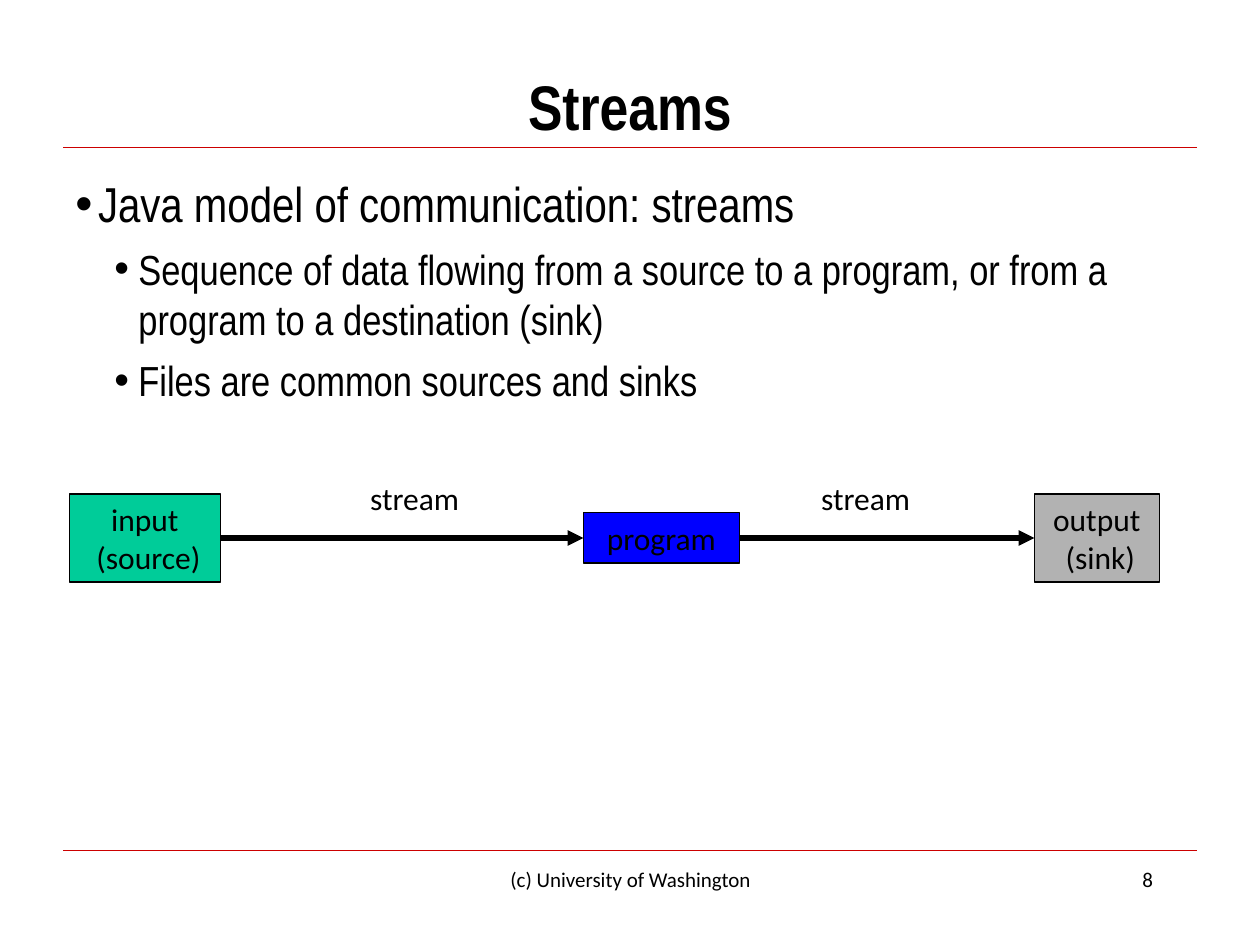
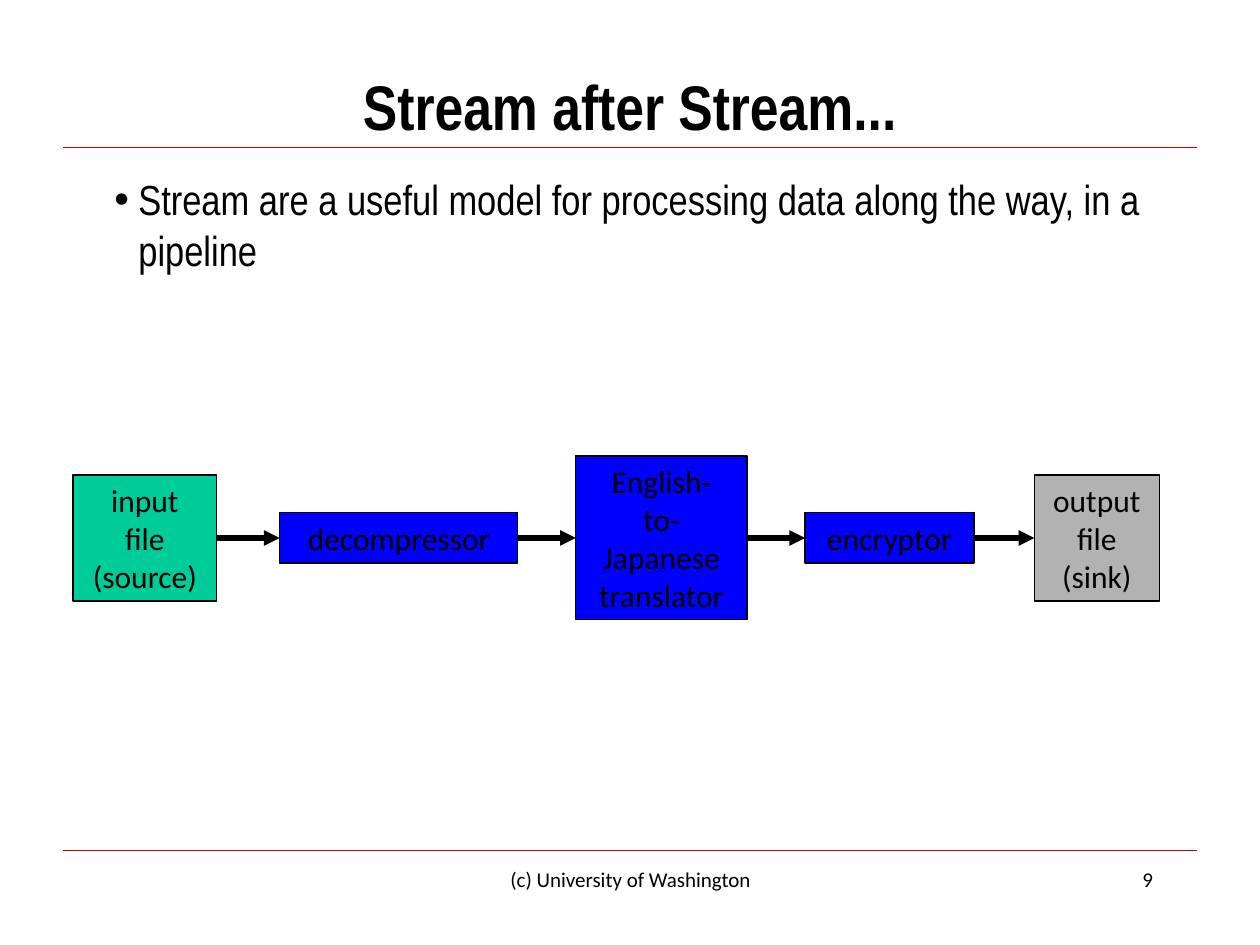
from lxml import etree
from pptx import Presentation
from pptx.dml.color import RGBColor
from pptx.enum.shapes import MSO_CONNECTOR, MSO_SHAPE
from pptx.enum.text import MSO_ANCHOR, PP_ALIGN
from pptx.oxml.ns import qn
from pptx.util import Inches, Pt

STRAIGHT = MSO_CONNECTOR.STRAIGHT
RECT = MSO_SHAPE.RECTANGLE
TOP, MIDDLE = MSO_ANCHOR.TOP, MSO_ANCHOR.MIDDLE
LEFT, CENTER, RIGHT = PP_ALIGN.LEFT, PP_ALIGN.CENTER, PP_ALIGN.RIGHT

COLORS = {"rule": "CC0000", "ink": "000000", "source": "00CC99", "program": "0000FF", "sink": "B2B2B2"}
TITLE = {"name": "Arial Narrow", "size": Pt(36), "bold": True}
LABEL = {"name": "Calibri", "size": Pt(18)}
FOOTER = {"name": "Calibri", "size": Pt(12)}
BULLETS = [
    {"font": {"name": "Arial Narrow", "size": Pt(28)}, "left": 0.18, "hang": 0.18, "before": 7},
    {"font": {"name": "Arial Narrow", "size": Pt(24)}, "left": 0.5, "hang": 0.19, "before": 6},
]
AXIS_Y = 4.27

SLIDES = [
    {
        "title": "Streams",
        "number": "8",
        "bullets": [
            (0, "Java model of communication: streams"),
            (1, "Sequence of data flowing from a source to a program, or from a program to a destination (sink)"),
            (1, "Files are common sources and sinks"),
        ],
        "stages": [
            ("source", 0.55, 1.2, 0.7, ["input\n (source)"]),
            ("program", 4.63, 1.24, 0.4, ["program"]),
            ("sink", 8.21, 0.99, 0.7, ["output\n (sink)"]),
        ],
        "stream_labels": [2.5, 6.08],
    },
    {
        "title": "Stream after Stream...",
        "number": "9",
        "bullets": [
            (1, "Stream are a useful model for processing data along the way, in a pipeline"),
        ],
        "stages": [
            ("source", 0.58, 1.14, 1, ["input\nfile", "(source)"]),
            ("program", 2.22, 1.89, 0.4, ["decompressor"]),
            ("program", 4.57, 1.36, 1.3, ["English-", "to-", "Japanese", "translator"]),
            ("program", 6.39, 1.34, 0.4, ["encryptor"]),
            ("sink", 8.21, 0.99, 1, ["output\nfile", "(sink)"]),
        ],
        "stream_labels": [],
    },
]


def write(sp, lines, style, align=CENTER, anchor=TOP, wrap=True):
    tf = sp.text_frame
    tf.word_wrap = wrap
    tf.vertical_anchor = anchor
    for i, line in enumerate(lines):
        p = tf.paragraphs[0] if i == 0 else tf.add_paragraph()
        p.text = line
        p.alignment = align
        for r in p.runs:
            for key, value in style.items():
                setattr(r.font, key, value)
            r.font.color.rgb = RGBColor.from_string(COLORS["ink"])


def add_line(s, x1, y1, x2, y2, color, width):
    line = s.shapes.add_connector(STRAIGHT, Inches(x1), Inches(y1), Inches(x2), Inches(y2))
    line.line.color.rgb = RGBColor.from_string(COLORS[color])
    line.line.width = Pt(width)
    etree.SubElement(line._element.spPr, qn("a:effectLst"))
    return line


prs = Presentation()
prs.slide_width, prs.slide_height = Inches(10), Inches(7.5)

for content in SLIDES:
    s = prs.slides.add_slide(prs.slide_layouts[6])
    for y in (1.17, 6.75):
        add_line(s, 0.5, y, 9.5, y, "rule", 0.75)

    sp = s.shapes.add_textbox(Inches(0.5), Inches(0.5), Inches(9), Inches(0.67))
    write(sp, [content["title"]], TITLE, anchor=MIDDLE)

    body = s.shapes.add_textbox(Inches(0.5), Inches(1.33), Inches(9), Inches(5.33))
    tf = body.text_frame
    tf.word_wrap = True
    for i, (level, text) in enumerate(content["bullets"]):
        bullet = BULLETS[level]
        p = tf.paragraphs[0] if i == 0 else tf.add_paragraph()
        p.level = level
        pPr = p._p.get_or_add_pPr()
        pPr.set("marL", str(Inches(bullet["left"])))
        pPr.set("indent", str(-Inches(bullet["hang"])))
        etree.SubElement(pPr, qn("a:buFont"), typeface="Arial")
        etree.SubElement(pPr, qn("a:buChar"), char="•")
        p.alignment = LEFT
        if i > 0:
            p.space_before = Pt(bullet["before"])
        r = p.add_run()
        r.text = text
        for key, value in bullet["font"].items():
            setattr(r.font, key, value)
        r.font.color.rgb = RGBColor.from_string(COLORS["ink"])

    stages = []
    for kind, x, width, height, lines in content["stages"]:
        sp = s.shapes.add_shape(RECT, Inches(x), Inches(AXIS_Y - height / 2), Inches(width), Inches(height))
        sp.shadow.inherit = False
        sp.fill.solid()
        sp.fill.fore_color.rgb = RGBColor.from_string(COLORS[kind])
        sp.line.color.rgb = RGBColor.from_string(COLORS["ink"])
        sp.line.width = Pt(0.75)
        write(sp, lines, LABEL, anchor=MIDDLE, wrap=False)
        stages.append(sp)

    for before, after in zip(stages, stages[1:]):
        arrow = add_line(s, 0, AXIS_Y, 1, AXIS_Y, "ink", 3)
        arrow.begin_connect(before, 3)
        arrow.end_connect(after, 1)
        etree.SubElement(arrow.line._get_or_add_ln(), qn("a:tailEnd"), type="triangle")

    for x in content["stream_labels"]:
        sp = s.shapes.add_textbox(Inches(x), Inches(3.75), Inches(1.58), Inches(0.4))
        write(sp, ["stream"], LABEL)

    for x, width, text, align in (
        (3.42, 3.17, "(c) University of Washington", CENTER),
        (7.17, 2.08, content["number"], RIGHT),
    ):
        sp = s.shapes.add_textbox(Inches(x), Inches(6.83), Inches(width), Inches(0.5))
        write(sp, [text], FOOTER, align)

prs.save("out.pptx")
